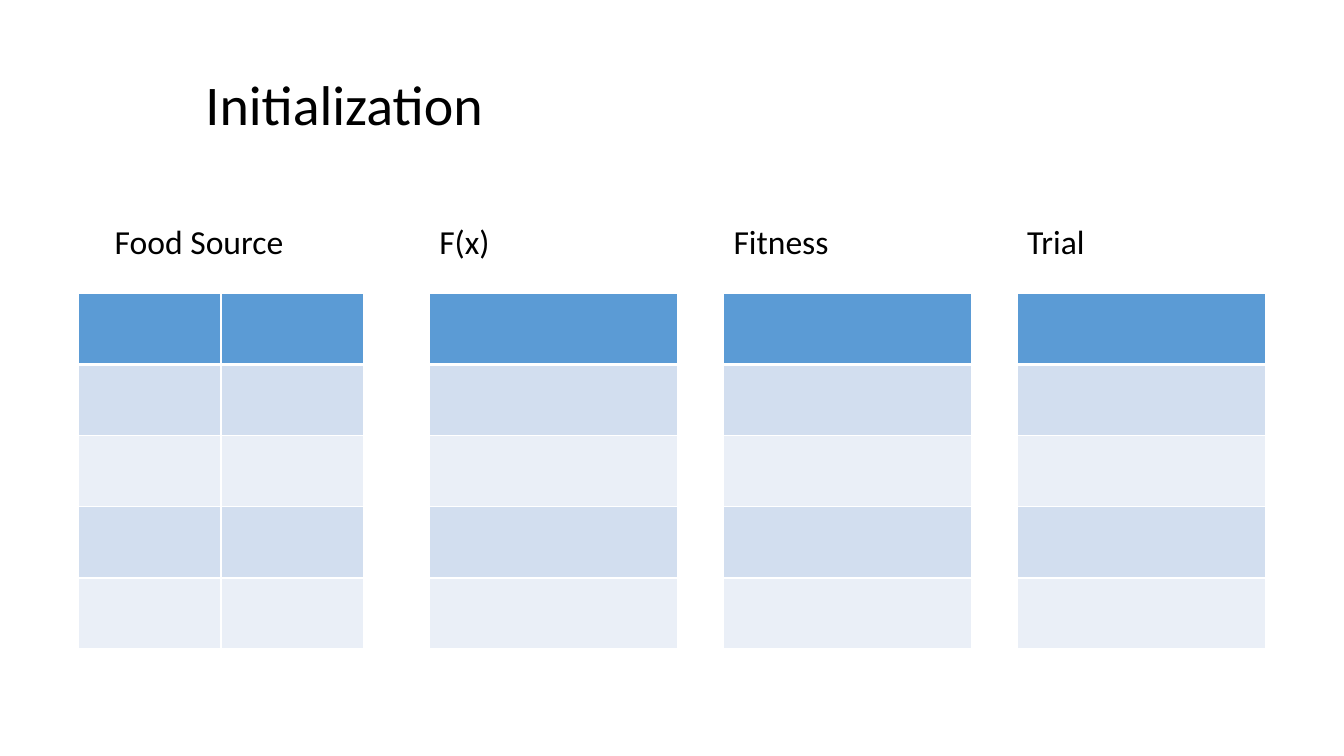
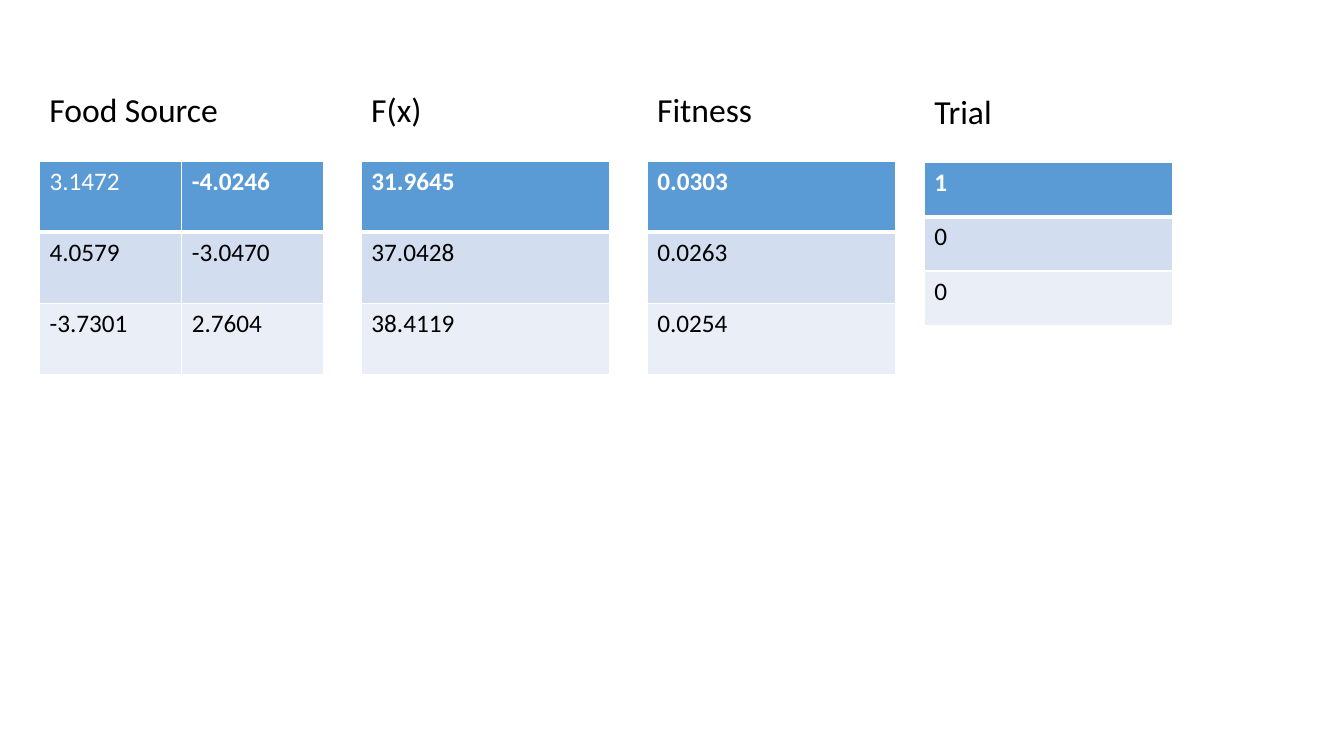
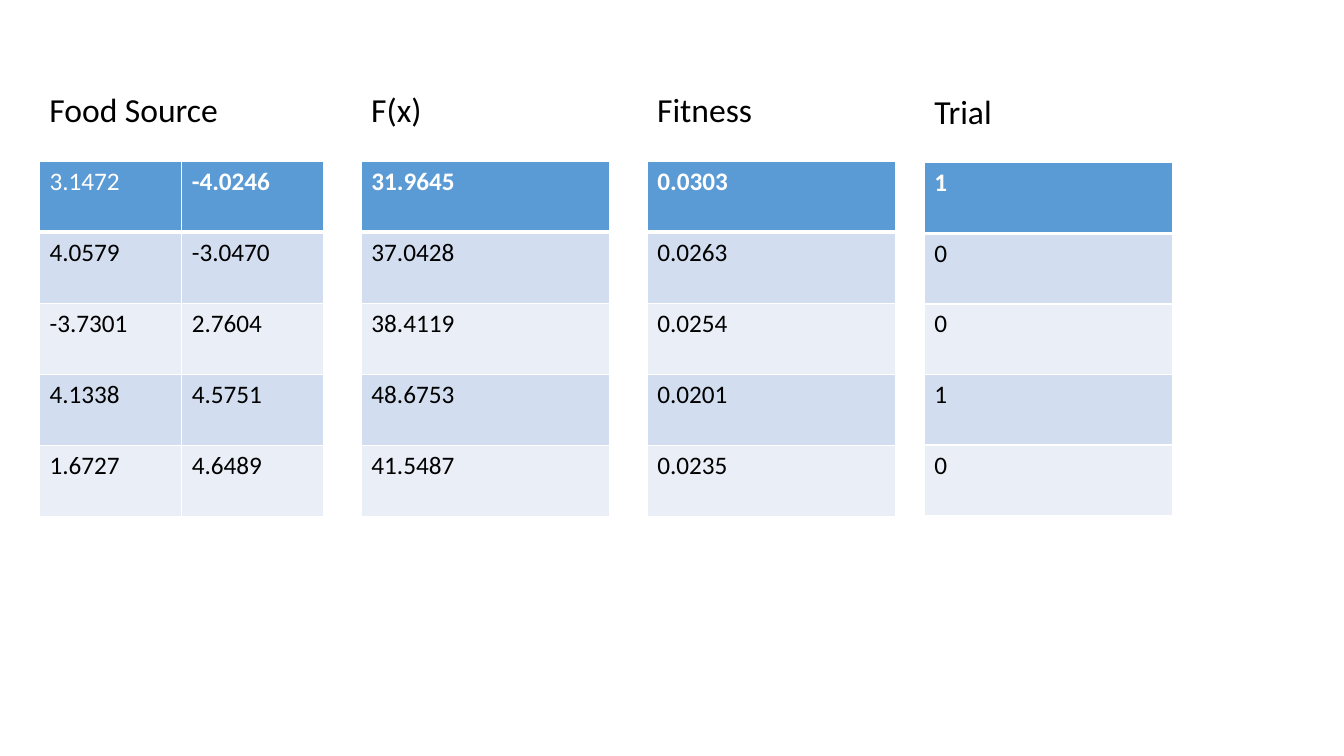
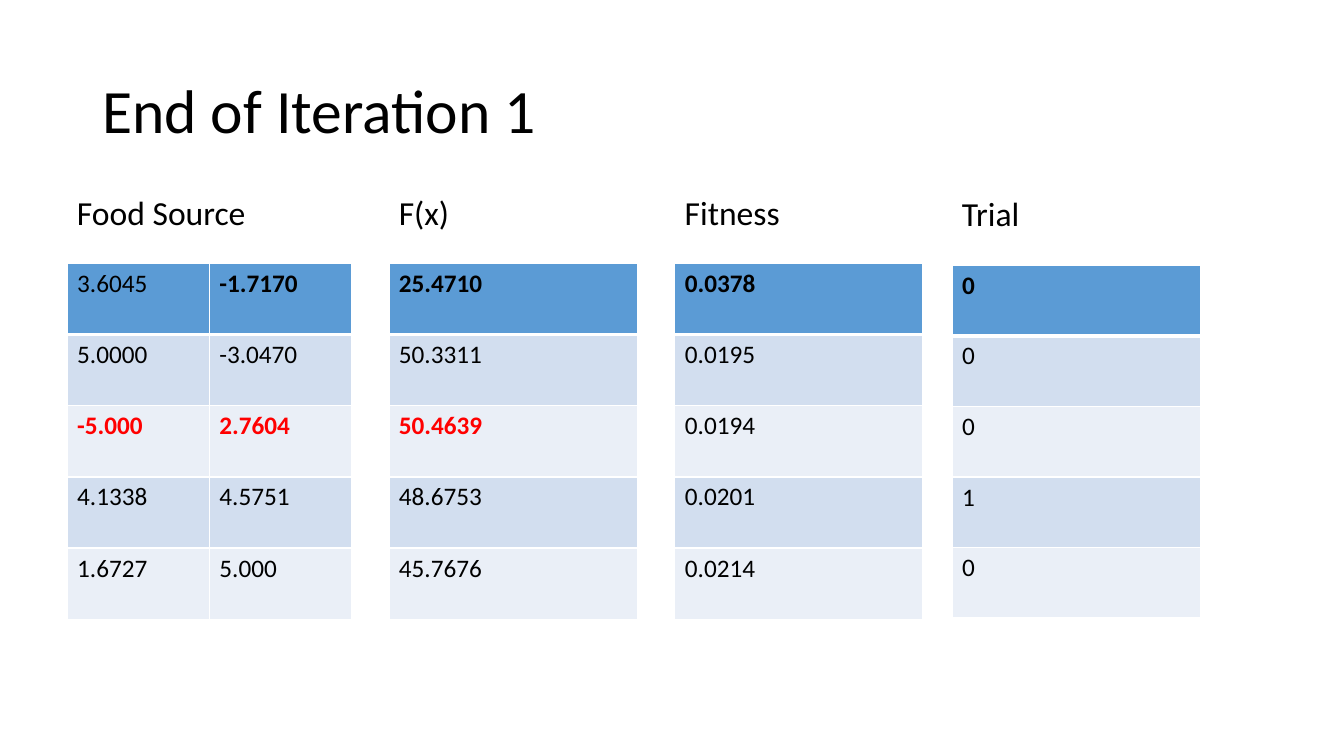
import pptx
import pptx.util
import pptx.dml.color
import pptx.enum.text
import pptx.oxml
import pptx.oxml.ns

Pt = pptx.util.Pt
FONT = "Calibri"
COLORS = {
    "text": "000000", "inverse": "FFFFFF", "alert": "FF0000", "border": "FFFFFF",
    "header": "5B9BD5", "odd": "D2DEEF", "even": "EAEFF7",
}

# Shared layout: label above each table
HEADINGS = ["Food Source", "F(x)", "Fitness", "Trial"]
COLUMN_WIDTHS = [[101.6, 101.6], [177.3], [177.3], [177.3]]
OFFSETS = [0, 229.9, 434.1, 632.1]
LABEL_RISE, LABEL_SIZE = 55, (165.6, 36)
ROW = 50.85
TRIAL_DROP = 1.3

EMPTY = [[""] * 5]
FOOD = [["3.1472", "4.0579", "-3.7301", "4.1338", "1.6727"],
        ["-4.0246", "-3.0470", "2.7604", "4.5751", "4.6489"]]
FX = [["31.9645", "37.0428", "38.4119", "48.6753", "41.5487"]]
FITNESS = [["0.0303", "0.0263", "0.0254", "0.0201", "0.0235"]]
TRIAL = [["1", "0", "0", "1", "0"]]

# Each table is a list of columns
SLIDES = [
    {"title": {"text": "Initialization", "box": (139.7, 46, 393.8, 55.7), "size": 40},
     "left": 56.2, "top": 209.5, "offsets": [0, 250.5, 460.7, 670.4],
     "label_shift": 18.7, "trial_drop": 0,
     "tables": [EMPTY * 2, EMPTY, EMPTY, EMPTY]},
    {"left": 28.2, "top": 115, "trial_row": 38.65,
     "tables": [[column[:3] for column in table]
                for table in (FOOD, FX, FITNESS, TRIAL)]},
    {"left": 28.2, "top": 115, "trial_row": 50.4,
     "tables": [FOOD, FX, FITNESS, TRIAL]},
    {"title": {"text": "End of Iteration 1", "box": (66, 28.75, 828, 104.4),
               "size": 44, "spacing": 0.9},
     "left": 47.9, "top": 188.2, "trial_row": 50.4, "header_text": "text",
     "alerts": {"-5.000", "2.7604", "50.4639"},
     "tables": [[["3.6045", "5.0000", "-5.000", "4.1338", "1.6727"],
                 ["-1.7170", "-3.0470", "2.7604", "4.5751", "5.000"]],
                [["25.4710", "50.3311", "50.4639", "48.6753", "45.7676"]],
                [["0.0378", "0.0195", "0.0194", "0.0201", "0.0214"]],
                [["0", "0", "0", "1", "0"]]]},
]


def rgb(name):
    return pptx.dml.color.RGBColor.from_string(COLORS[name])


def write(tf, text, size, color="text", bold=False):
    p = tf.paragraphs[0]
    r = p.add_run()
    r.text = text
    for key, value in {"name": FONT, "size": Pt(size), "bold": bold}.items():
        setattr(r.font, key, value)
    r.font.color.rgb = rgb(color)
    return p


def add_text(slide, text, box, size, spacing=None):
    tf = slide.shapes.add_textbox(*map(Pt, box)).text_frame
    tf.word_wrap = True
    tf.vertical_anchor = pptx.enum.text.MSO_ANCHOR.MIDDLE
    write(tf, text, size).line_spacing = spacing


def set_borders(cell, row):
    """White rules, thicker between the header and the first row."""
    widths = {"L": 1, "R": 1, "T": 3 if row == 1 else 1, "B": 3 if row == 0 else 1}
    for side, width in widths.items():
        cell._tc.get_or_add_tcPr().append(pptx.oxml.parse_xml(
            f'<a:ln{side} {pptx.oxml.ns.nsdecls("a")} w="{Pt(width)}"><a:solidFill>'
            f'<a:srgbClr val="{COLORS["border"]}"/></a:solidFill></a:ln{side}>'))


def add_value_table(slide, columns, widths, left, top, row_height, header_text, alerts):
    count = len(columns[0])
    table = slide.shapes.add_table(count, len(columns), Pt(left), Pt(top),
                                   Pt(sum(widths)), Pt(row_height * count)).table
    table.first_row = table.horz_banding = False
    for row in table.rows:
        row.height = Pt(row_height)
    for c, (values, width) in enumerate(zip(columns, widths)):
        table.columns[c].width = Pt(width)
        for r, value in enumerate(values):
            cell = table.cell(r, c)
            set_borders(cell, r)
            cell.fill.solid()
            cell.fill.fore_color.rgb = rgb("header" if r == 0 else "odd" if r % 2 else "even")
            if value:
                alert = value in alerts
                # The first of two header cells is regular weight
                bold = alert or (r == 0 and c == len(columns) - 1)
                color = "alert" if alert else header_text if r == 0 else "text"
                write(cell.text_frame, value, 18, color, bold)


def build_slide(prs, data):
    slide = prs.slides.add_slide(prs.slide_layouts[6])
    if "title" in data:
        add_text(slide, **data["title"])
    offsets = data.get("offsets", OFFSETS)
    for heading, columns, widths, offset in zip(
            HEADINGS, data["tables"], COLUMN_WIDTHS, offsets):
        left, top, row_height = data["left"] + offset, data["top"], ROW
        if heading == "Trial":
            top += data.get("trial_drop", TRIAL_DROP)
            row_height = data.get("trial_row", ROW)
        shift = data.get("label_shift", 0) if heading == "Food Source" else 0
        add_text(slide, heading, (left + shift, top - LABEL_RISE, *LABEL_SIZE), 24)
        add_value_table(slide, columns, widths, left, top, row_height,
                        data.get("header_text", "inverse"), data.get("alerts", ()))


def main():
    prs = pptx.Presentation()
    prs.slide_width, prs.slide_height = Pt(960), Pt(540)
    for data in SLIDES:
        build_slide(prs, data)
    prs.save("out.pptx")


if __name__ == "__main__":
    main()
